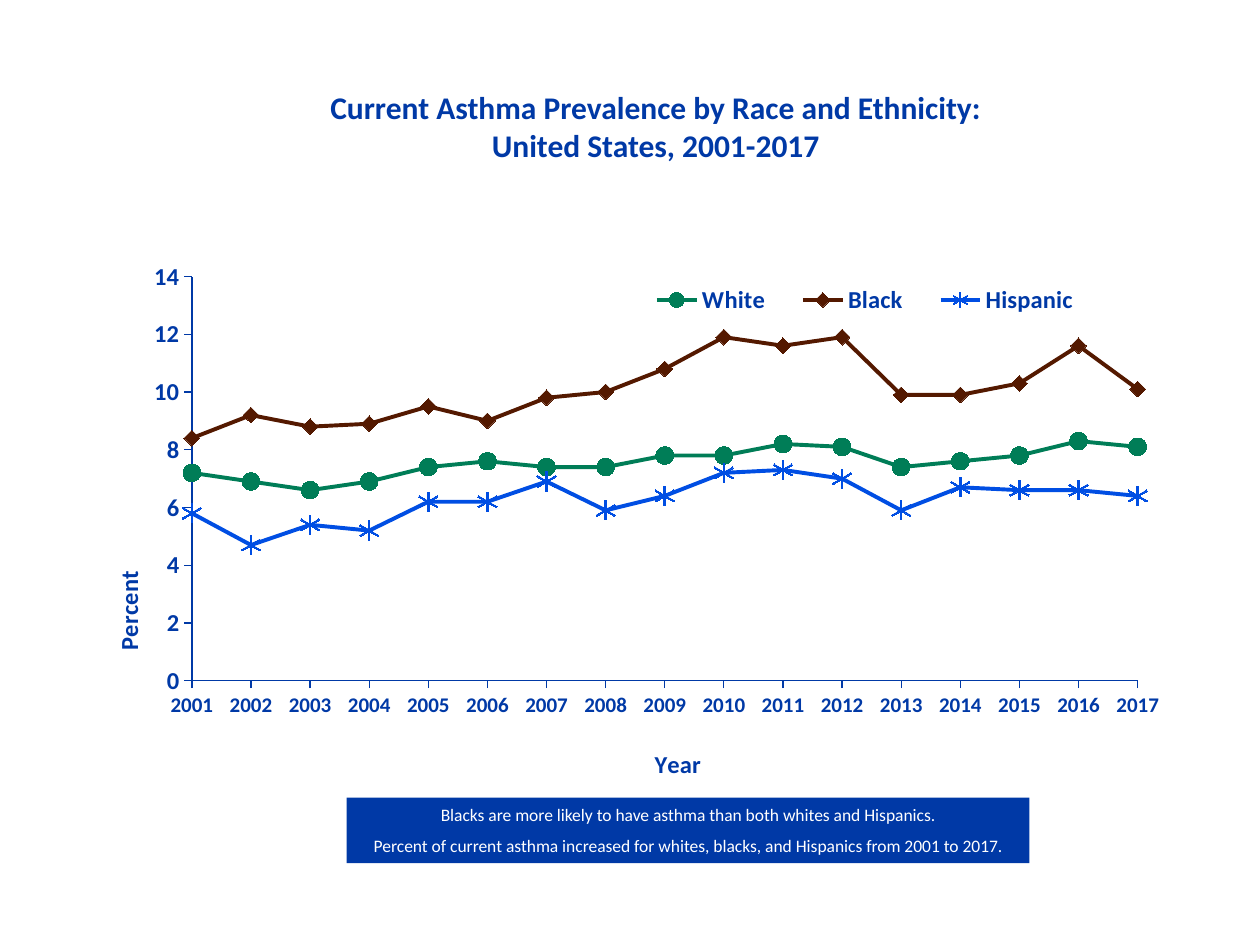
"""Build a slide with a line chart of asthma prevalence by race and ethnicity."""
from lxml.etree import SubElement
from pptx import Presentation
from pptx.chart.data import CategoryChartData
from pptx.dml.color import RGBColor
from pptx.enum.chart import XL_CHART_TYPE, XL_LEGEND_POSITION, XL_MARKER_STYLE, XL_TICK_MARK
from pptx.enum.shapes import MSO_SHAPE
from pptx.enum.text import MSO_ANCHOR, MSO_AUTO_SIZE, PP_ALIGN
from pptx.oxml import parse_xml
from pptx.oxml.ns import nsdecls, qn
from pptx.util import Inches, Pt

COLORS = {"blue": "0039A6", "green": "007D57", "brown": "541900", "bright": "004EE3", "white": "FFFFFF"}
FONT = "Calibri"
TITLE = "Current Asthma Prevalence by Race and Ethnicity:\vUnited States, 2001-2017"
NOTES = [
    "Blacks are more likely to have asthma than both whites and Hispanics.",
    "Percent of current asthma increased for whites, blacks, and Hispanics from 2001 to 2017.",
]
YEARS = [str(year) for year in range(2001, 2018)]
SERIES = [
    ("White", "green", XL_MARKER_STYLE.CIRCLE, 10,
     (7.2, 6.9, 6.6, 6.9, 7.4, 7.6, 7.4, 7.4, 7.8, 7.8, 8.2, 8.1, 7.4, 7.6, 7.8, 8.3, 8.1)),
    ("Black", "brown", XL_MARKER_STYLE.DIAMOND, 9,
     (8.4, 9.2, 8.8, 8.9, 9.5, 9, 9.8, 10, 10.8, 11.9, 11.6, 11.9, 9.9, 9.9, 10.3, 11.6, 10.1)),
    ("Hispanic", "bright", XL_MARKER_STYLE.STAR, 11,
     (5.8, 4.7, 5.4, 5.2, 6.2, 6.2, 6.9, 5.9, 6.4, 7.2, 7.3, 7, 5.9, 6.7, 6.6, 6.6, 6.4)),
]


def color(name):
    return RGBColor.from_string(COLORS[name])


def style_font(font, size, name, bold):
    font.name, font.size, font.bold = FONT, Pt(size), bold
    font.color.rgb = color(name)


def place(shape, *lengths):
    shape.left, shape.top, shape.width, shape.height = map(Inches, lengths)


def set_layout(element, index, shares, inner=False):
    for old in element.findall(qn("c:layout")):
        element.remove(old)
    layout = parse_xml(f"<c:layout {nsdecls('c')}><c:manualLayout/></c:layout>")
    settings = [("layoutTarget", "inner")] if inner else []
    settings += [("xMode", "edge"), ("yMode", "edge"), *zip("xywh", shares)]
    for tag, value in settings:
        SubElement(layout[0], qn(f"c:{tag}")).set("val", str(value))
    element.insert(index, layout)


def style_axis(axis, title, size, position):
    axis.has_major_gridlines = False
    axis.major_tick_mark, axis.minor_tick_mark = XL_TICK_MARK.OUTSIDE, XL_TICK_MARK.NONE
    axis.format.line.color.rgb = color("blue")
    axis.format.line.width = Pt(0.75)
    style_font(axis.tick_labels.font, size, "blue", True)
    paragraph = axis.axis_title.text_frame.paragraphs[0]
    paragraph.text = title
    style_font(paragraph.font, 14, "blue", True)
    set_layout(axis.axis_title._element, 1, position)


def add_line_chart(slide):
    data = CategoryChartData(number_format="General")
    data.categories = YEARS
    for name, _, _, _, values in SERIES:
        data.add_series(name, values)
    bounds = map(Inches, (0.58, 2, 8.98, 4.25))
    chart = slide.shapes.add_chart(XL_CHART_TYPE.LINE_MARKERS, *bounds, data).chart
    chart.has_title = False
    style_font(chart.font, 16, "blue", True)
    set_layout(chart._chartSpace.chart.plotArea, 0, (0.105, 0.046, 0.836, 0.758), True)

    style_axis(chart.category_axis, "Year", 12, (0.51, 0.92))
    axis = chart.value_axis
    style_axis(axis, "Percent", 14, (0.03, 0.59))
    axis.minimum_scale, axis.maximum_scale, axis.major_unit = 0, 14, 2
    for old in axis._element.findall(qn("c:crossBetween")):
        axis._element.remove(old)
    crossing = parse_xml(f'<c:crossBetween {nsdecls("c")} val="midCat"/>')
    axis._element.find(qn("c:crosses")).addnext(crossing)

    chart.has_legend = True
    chart.legend.position = XL_LEGEND_POSITION.RIGHT
    chart.legend.include_in_layout = False
    style_font(chart.legend.font, 14, "blue", True)
    set_layout(chart.legend._element, 1, (0.49, 0.05, 0.42, 0.08))

    chart.plots[0].vary_by_categories = False
    for line, (_, name, marker, size, _) in zip(chart.plots[0].series, SERIES):
        line.smooth = False
        line.format.line.color.rgb = color(name)
        line.format.line.width = Pt(2.25)
        line.marker.style, line.marker.size = marker, size
        line.marker.format.fill.solid()
        line.marker.format.fill.fore_color.rgb = color(name)
        line.marker.format.line.color.rgb = color(name)


def add_notes_box(slide):
    box = slide.shapes.add_shape(MSO_SHAPE.RECTANGLE, 0, 0, 0, 0)
    place(box, 2.75, 6.33, 5.42, 0.52)
    box.shadow.inherit = False
    box.fill.solid()
    box.fill.fore_color.rgb = color("blue")
    box.line.fill.background()
    frame = box.text_frame
    frame.word_wrap = True
    frame.auto_size = MSO_AUTO_SIZE.SHAPE_TO_FIT_TEXT
    frame.vertical_anchor = MSO_ANCHOR.TOP
    for index, note in enumerate(NOTES):
        paragraph = frame.add_paragraph() if index else frame.paragraphs[0]
        paragraph.text = note
        paragraph.alignment = PP_ALIGN.CENTER
        paragraph.space_before = Pt(3 if index else 0)
        paragraph.space_after = Pt(3)
        style_font(paragraph.font, 10, "white", False)


def main():
    deck = Presentation()
    deck.slide_width, deck.slide_height = Inches(10), Inches(7.5)
    slide = deck.slides.add_slide(deck.slide_layouts[5])
    title = slide.shapes.title
    place(title, 0.91, 0.65, 8.59, 0.85)
    title.text_frame.vertical_anchor = MSO_ANCHOR.TOP
    paragraph = title.text_frame.paragraphs[0]
    paragraph.text = TITLE
    paragraph.alignment = PP_ALIGN.CENTER
    style_font(paragraph.font, 18, "blue", True)
    add_line_chart(slide)
    add_notes_box(slide)
    deck.save("out.pptx")


if __name__ == "__main__":
    main()
